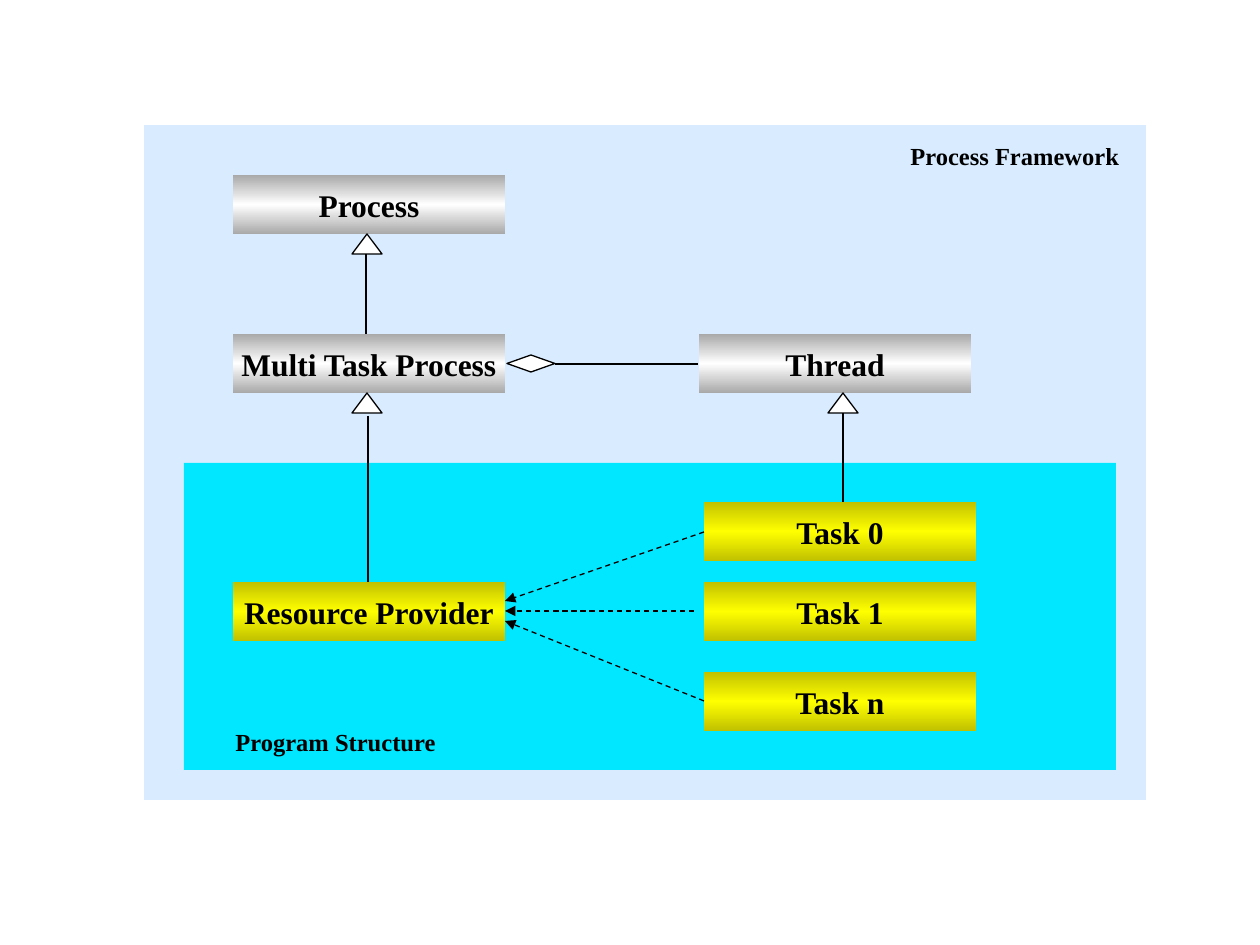
import copy

import pptx
import pptx.dml.color
import pptx.enum.dml
import pptx.enum.shapes
import pptx.enum.text
import pptx.oxml.ns
import pptx.oxml.xmlchemy
import pptx.util

RGB = pptx.dml.color.RGBColor
SHAPE = pptx.enum.shapes.MSO_SHAPE
qn = pptx.oxml.ns.qn

BLACK = RGB(0x00, 0x00, 0x00)
WHITE = RGB(0xFF, 0xFF, 0xFF)
PALE_BLUE = RGB(0x99, 0xCC, 0xFF)
CYAN = RGB(0x01, 0xE7, 0xFF)
GREY = RGB(0xA9, 0xA9, 0xA9)
OLIVE = RGB(0xC1, 0xC1, 0x00)
YELLOW = RGB(0xFF, 0xFF, 0x00)

FONT = "Times New Roman"
PX = pptx.util.Inches(1) // 126
PAGE_SIZE = (1260, 945)
BOX_SIZE = (272, 59)
TRIANGLE_SIZE = (30, 20)
LEFT_COLUMN, THREAD_COLUMN, TASK_COLUMN = 233, 699, 704

FRAMEWORK_PANEL = (144, 125, 1002, 675)
PROGRAM_PANEL = (184, 463, 932, 307)
DIAMOND = (507, 355, 48, 17)

FRAMEWORK_CLASSES = [
    ("Process", LEFT_COLUMN, 175),
    ("Multi Task Process", LEFT_COLUMN, 334),
    ("Thread", THREAD_COLUMN, 334),
]
PROGRAM_CLASSES = [
    ("Resource Provider", LEFT_COLUMN, 582),
    ("Task 0", TASK_COLUMN, 502),
    ("Task 1", TASK_COLUMN, 582),
    ("Task n", TASK_COLUMN, 672),
]
TRIANGLES = [(352, 234), (352, 393), (828, 393)]
CAPTIONS = [
    ("Process Framework", (898, 135, 248, 43)),
    ("Program Structure", (223, 721, 258, 43)),
]
SOLID_LINES = [
    (366, 254, 366, 334),
    (555, 364, 698, 364),
    (368, 416, 368, 582),
    (843, 413, 843, 502),
]
DEPENDENCIES = [
    (704, 532, 505, 601),
    (694, 611, 505, 611),
    (704, 701, 505, 621),
]


def emu(lengths):
    return [length * PX for length in lengths]


def add_text(frame, text, size):
    para = frame.paragraphs[0]
    span = para.add_run()
    span.text = text
    span.font.name = FONT
    span.font.size = pptx.util.Pt(size)
    span.font.bold = True
    span.font.color.rgb = BLACK
    return para


def add_plain(page, kind, place, color, outlined=False):
    shape = page.shapes.add_shape(kind, *emu(place))
    shape.shadow.inherit = False
    shape.fill.solid()
    shape.fill.fore_color.rgb = color
    if outlined:
        shape.line.color.rgb = BLACK
        shape.line.width = pptx.util.Pt(0.75)
    else:
        shape.line.fill.background()
    return shape


def add_class(page, text, left, top, edge, middle):
    box = add_plain(page, SHAPE.RECTANGLE, (left, top, *BOX_SIZE), middle)
    box.fill.gradient()
    box.fill.gradient_angle = 90
    stops = next(box._element.spPr.iter(qn("a:gsLst")))
    stops.insert(1, copy.deepcopy(stops[0]))
    for stop, position, color in zip(
        box.fill.gradient_stops, (0, 0.5, 1), (edge, middle, edge)
    ):
        stop.position = position
        stop.color.rgb = color
    frame = box.text_frame
    frame.word_wrap = False
    frame.vertical_anchor = pptx.enum.text.MSO_ANCHOR.MIDDLE
    para = add_text(frame, text, 18)
    para.alignment = pptx.enum.text.PP_ALIGN.CENTER


def add_caption(page, text, place):
    frame = page.shapes.add_textbox(*emu(place)).text_frame
    frame.word_wrap = True
    para = add_text(frame, text, 14)
    para.space_before = pptx.util.Pt(8.8)


def add_line(page, ends, dashed=False):
    line = page.shapes.add_connector(
        pptx.enum.shapes.MSO_CONNECTOR.STRAIGHT, *emu(ends)
    )
    line.line.color.rgb = BLACK
    line.line.width = pptx.util.Pt(0.75)
    if dashed:
        line.line.dash_style = pptx.enum.dml.MSO_LINE.DASH
        tail = pptx.oxml.xmlchemy.OxmlElement("a:tailEnd")
        tail.set("type", "triangle")
        line.line._get_or_add_ln().append(tail)
    line._element.spPr.append(pptx.oxml.xmlchemy.OxmlElement("a:effectLst"))


def main():
    deck = pptx.Presentation()
    deck.slide_width, deck.slide_height = emu(PAGE_SIZE)
    page = deck.slides.add_slide(deck.slide_layouts[6])

    panel = add_plain(page, SHAPE.RECTANGLE, FRAMEWORK_PANEL, PALE_BLUE)
    alpha = pptx.oxml.xmlchemy.OxmlElement("a:alpha")
    alpha.set("val", "37000")
    next(panel._element.spPr.iter(qn("a:srgbClr"))).append(alpha)
    add_plain(page, SHAPE.RECTANGLE, PROGRAM_PANEL, CYAN)

    for text, left, top in FRAMEWORK_CLASSES:
        add_class(page, text, left, top, GREY, WHITE)
    for text, left, top in PROGRAM_CLASSES:
        add_class(page, text, left, top, OLIVE, YELLOW)
    for corner in TRIANGLES:
        place = (*corner, *TRIANGLE_SIZE)
        add_plain(page, SHAPE.ISOSCELES_TRIANGLE, place, WHITE, outlined=True)
    add_plain(page, SHAPE.DIAMOND, DIAMOND, WHITE, outlined=True)
    for ends in SOLID_LINES:
        add_line(page, ends)
    for ends in DEPENDENCIES:
        add_line(page, ends, dashed=True)
    for text, place in CAPTIONS:
        add_caption(page, text, place)

    deck.save("out.pptx")


if __name__ == "__main__":
    main()
